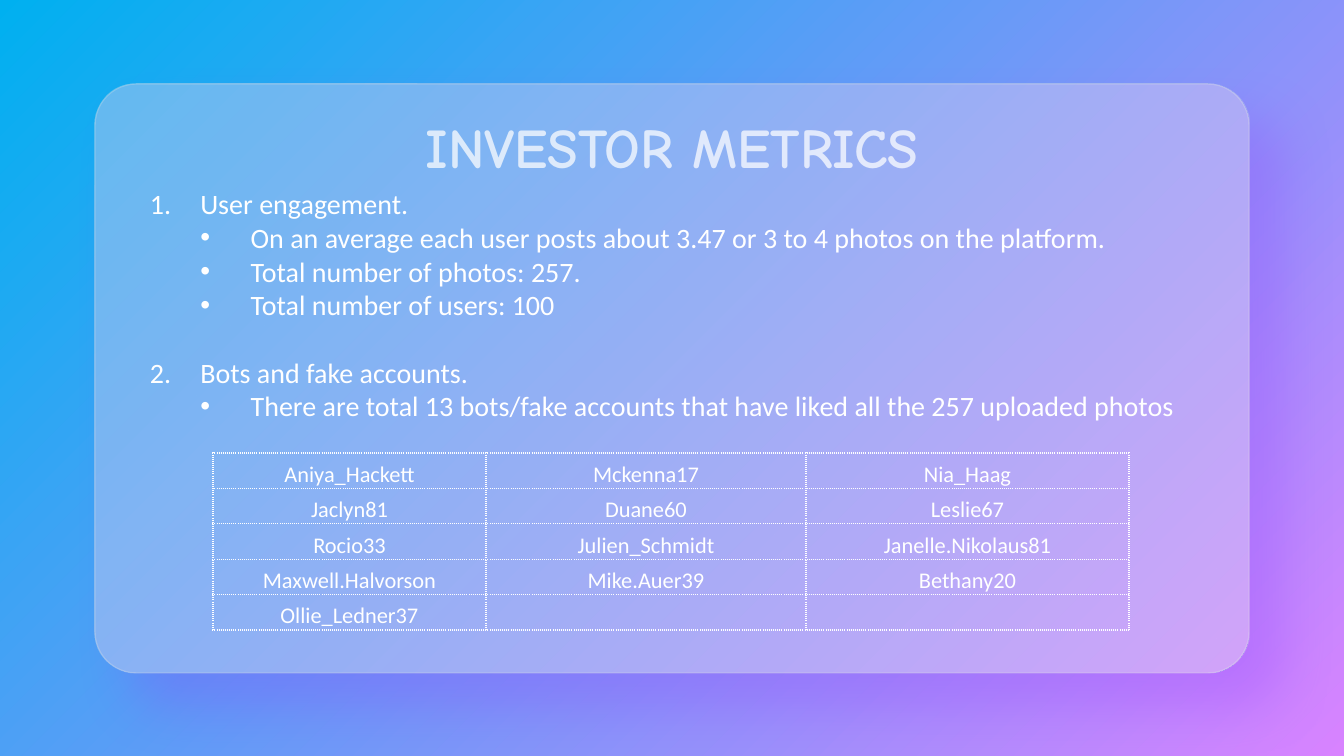
from lxml.etree import SubElement
from pptx import Presentation
from pptx.dml.color import RGBColor
from pptx.enum.shapes import MSO_SHAPE
from pptx.enum.text import MSO_ANCHOR, MSO_AUTO_SIZE, PP_ALIGN
from pptx.oxml import parse_xml
from pptx.oxml.ns import nsdecls, qn
from pptx.util import Pt

SCALE = 914400 / 100.8


def px(length):
    return round(length * SCALE)


def paint(target, value, opacity=100):
    target.rgb = RGBColor.from_string(value)
    if opacity < 100:
        holder = target._xFill if hasattr(target, "_xFill") else target._color._xClr.getparent()
        color = next(holder.iter(qn("a:srgbClr")))
        SubElement(color, qn("a:alpha"), val=str(opacity * 1000))


deck = Presentation()
deck.slide_width, deck.slide_height = px(1344), px(756)
page = deck.slides.add_slide(deck.slide_layouts[5])

shadow_card, glass_card = [
    page.shapes.add_shape(MSO_SHAPE.ROUNDED_RECTANGLE, px(95), px(84), px(1154), px(589))
    for layer in range(2)
]
gradients = [
    (page.background.fill, [("00B0F0", 100), ("D883FF", 100)]),
    (shadow_card.fill, [("40AEF4", 100), ("CD94FF", 100)]),
    (glass_card.fill, [("E7E6E6", 22), ("E7E6E6", 20)]),
]
for fill, colors in gradients:
    fill.gradient()
    fill.gradient_angle = 315
    for stop, (value, opacity) in zip(fill.gradient_stops, colors):
        paint(stop.color, value, opacity)

for card in (shadow_card, glass_card):
    card.adjustments[0] = 0.07
    card.shadow.inherit = False
    card.line.fill.background()
glass_card.line.fill.solid()
glass_card.line.width = Pt(1)
paint(glass_card.line.fill.fore_color, "E7E6E6", 25)

effects = shadow_card._element.spPr.find(qn("a:effectLst"))
effects.append(parse_xml(
    f'<a:outerShdw {nsdecls("a")} blurRad="{Pt(40)}" dist="{Pt(35)}" dir="2700000" '
    'algn="tl" rotWithShape="0"><a:srgbClr val="9437FF"><a:alpha val="25000"/>'
    '</a:srgbClr></a:outerShdw>'
))

title = page.shapes.title
page.shapes._spTree.append(title._element)
title.left, title.top, title.width, title.height = px(95), px(107), px(1154), px(78)
title.text_frame.auto_size = MSO_AUTO_SIZE.NONE
title.text_frame.vertical_anchor = MSO_ANCHOR.MIDDLE
para = title.text_frame.paragraphs[0]
para.alignment = PP_ALIGN.CENTER
para.line_spacing = 1.0
span = para.add_run()
span.text = "INVESTOR METRICS"
span.font.name, span.font.size, span.font.bold = "Comic Neue", Pt(40), True
span.font.fill.solid()
paint(span.font.fill.fore_color, "FFFFFF", 72)

sections = [
    ("User engagement.", [
        "On an average each user posts about 3.47 or 3 to 4 photos on the platform.",
        "Total number of photos: 257.",
        "Total number of users: 100",
    ]),
    ("Bots and fake accounts.", [
        "There are total 13 bots/fake accounts that have liked all the 257 uploaded photos",
    ]),
]
box = page.shapes.add_textbox(px(140), px(182), px(1060), px(281))
box.text_frame.word_wrap = True
para = box.text_frame.paragraphs[0]
for number, (heading, points) in enumerate(sections, 1):
    for level, text in [(0, heading)] + [(1, point) for point in points]:
        if para.runs:
            para = box.text_frame.add_paragraph()
        para.level = level
        if level == 0 and number > 1:
            para.space_before = Pt(24)
        properties = para._p.get_or_add_pPr()
        properties.set("marL", str(px(50.4 * (level + 1))))
        properties.set("indent", str(-px(50.4)))
        if level:
            SubElement(properties, qn("a:buFont"), typeface="Arial")
            SubElement(properties, qn("a:buChar"), char="•")
        else:
            SubElement(properties, qn("a:buFont"), typeface="+mj-lt")
            SubElement(properties, qn("a:buAutoNum"), type="arabicPeriod", startAt=str(number))
        span = para.add_run()
        span.text = text
        span.font.name, span.font.size = "Calibri", Pt(20)
        paint(span.font.color, "FFFFFF")

accounts = [
    ["Aniya_Hackett", "Mckenna17", "Nia_Haag"],
    ["Jaclyn81", "Duane60", "Leslie67"],
    ["Rocio33", "Julien_Schmidt", "Janelle.Nikolaus81"],
    ["Maxwell.Halvorson", "Mike.Auer39", "Bethany20"],
    ["Ollie_Ledner37", "", ""],
]
table = page.shapes.add_table(5, 3, px(213), px(453), px(916), px(177)).table
table.first_row = table.horz_banding = False
for column, width in zip(table.columns, (273, 320, 323)):
    column.width = px(width)
for row, names in zip(table.rows, accounts):
    row.height = px(177 / 5)
    for cell, name in zip(row.cells, names):
        cell.fill.background()
        cell.vertical_anchor = MSO_ANCHOR.BOTTOM
        cell.margin_left = cell.margin_right = cell.margin_top = px(1)
        cell.margin_bottom = 0
        for position, side in enumerate(("lnL", "lnR", "lnT", "lnB")):
            cell._tc.get_or_add_tcPr().insert(position, parse_xml(
                f'<a:{side} {nsdecls("a")} w="{Pt(1)}"><a:solidFill><a:srgbClr val="FFFFFF"/>'
                f'</a:solidFill><a:prstDash val="sysDot"/></a:{side}>'
            ))
        if name:
            para = cell.text_frame.paragraphs[0]
            para.alignment = PP_ALIGN.CENTER
            span = para.add_run()
            span.text = name
            span.font.name, span.font.size = "Calibri", Pt(16)
            paint(span.font.color, "FFFFFF")

deck.save("out.pptx")
